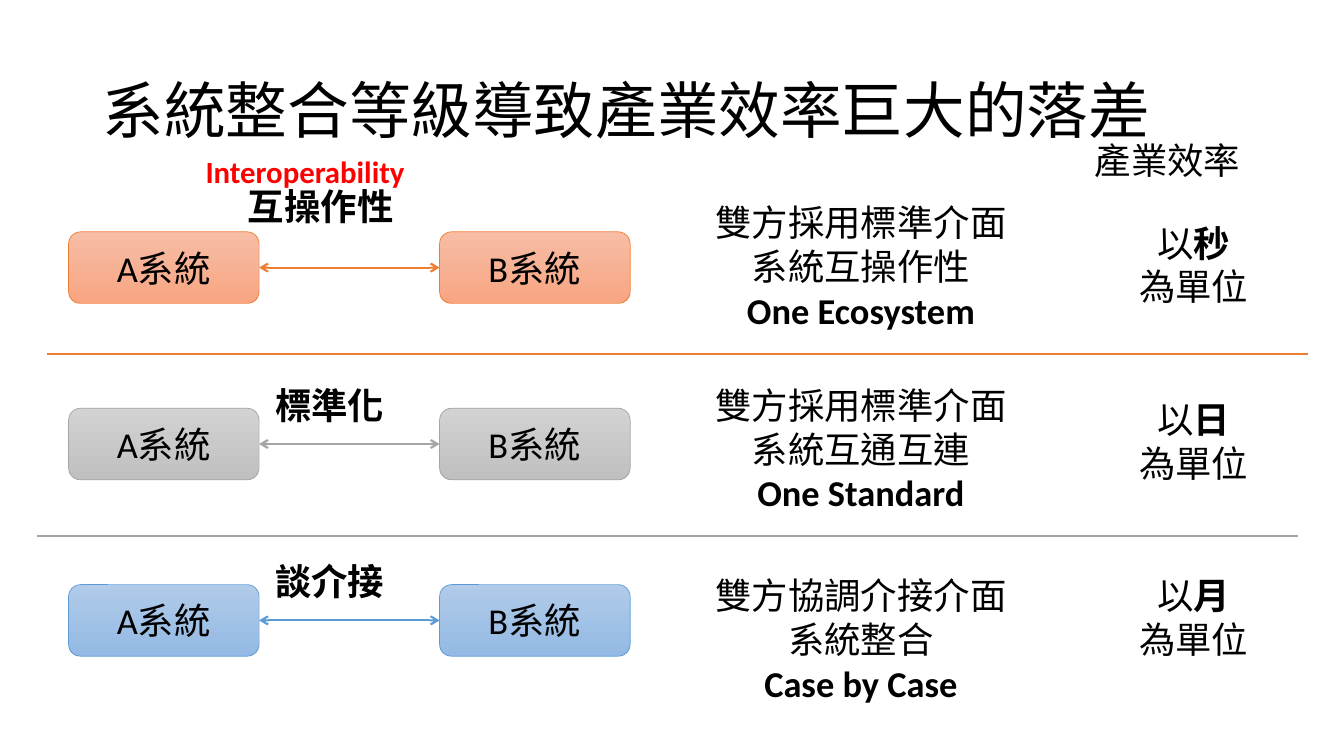
from lxml import etree
from pptx import Presentation
from pptx.dml.color import RGBColor
from pptx.enum.lang import MSO_LANGUAGE_ID
from pptx.enum.shapes import MSO_CONNECTOR, MSO_SHAPE
from pptx.enum.text import MSO_ANCHOR, MSO_AUTO_SIZE, PP_ALIGN
from pptx.oxml.ns import qn
from pptx.util import Pt

PX = 9144
STRAIGHT = MSO_CONNECTOR.STRAIGHT
ROUNDED = MSO_SHAPE.ROUNDED_RECTANGLE
LEFT, CENTER = PP_ALIGN.LEFT, PP_ALIGN.CENTER
TOP, MIDDLE = MSO_ANCHOR.TOP, MSO_ANCHOR.MIDDLE
GROW = MSO_AUTO_SIZE.SHAPE_TO_FIT_TEXT
CHINESE = MSO_LANGUAGE_ID.TRADITIONAL_CHINESE
LEFT_SIDE, RIGHT_SIDE = 1, 3

FONT = "Calibri"
COLORS = {
    "text": "000000", "accent": "FF0000",
    "orange": "ED7D31", "orange_top": "F7BDA5", "orange_bottom": "F8A582",
    "gray": "A5A5A5", "gray_top": "D2D2D2", "gray_bottom": "C0C0C0",
    "blue": "5B9BD5", "blue_top": "B1CBE9", "blue_bottom": "93B9E4",
}

ROW_TOP, ROW_PITCH = 230, 175
ROW_LEFT, ROW_WIDTH, ROW_HEIGHT = 68, 1181, 71
LEVELS = [
    {"color": "orange", "caption": "互操作性", "caption_box": (168, -52, 166),
     "details": ["雙方採用標準介面", "系統互操作性", "One Ecosystem"],
     "details_top": -36, "unit": "秒"},
    {"color": "gray", "caption": "標準化", "caption_box": (195, -30, 130),
     "details": ["雙方採用標準介面", "系統互通互連", "One Standard"],
     "details_top": -30, "unit": "日"},
    {"color": "blue", "caption": "談介接", "caption_box": (195, -30, 130),
     "details": ["雙方協調介接介面", "系統整合", "Case by Case"],
     "details_top": -16, "unit": "月"},
]
SEPARATORS = [("orange", 47, 351), ("gray", 37, 532)]
SEPARATOR_WIDTH = 1250


def rgb(name):
    """Return the named colour."""
    return RGBColor.from_string(COLORS[name])


def emu(*lengths):
    """Turn px lengths into EMU."""
    return [length * PX for length in lengths]


def write_text(frame, paragraphs, size=26, color="text", align=LEFT,
               anchor=TOP, spacing=None):
    """Fill a text frame with paragraphs of (text, bold) runs."""
    frame.vertical_anchor = anchor
    for index, runs in enumerate(paragraphs):
        paragraph = frame.add_paragraph() if index else frame.paragraphs[0]
        paragraph.alignment = align
        paragraph.line_spacing = spacing
        for text, bold in runs:
            if text == "\n":
                paragraph.add_line_break()
                continue
            run = paragraph.add_run()
            run.text = text
            run.font.name = FONT
            run.font.size = Pt(size)
            run.font.bold = bold
            run.font.color.rgb = rgb(color)
            run.font.language_id = CHINESE


def add_label(slide, box, paragraphs, wrap=False, **style):
    """Add a text box at the given box."""
    frame = slide.shapes.add_textbox(*emu(*box)).text_frame
    frame.word_wrap = wrap
    if not wrap:
        frame.auto_size = GROW
    write_text(frame, paragraphs, **style)


def add_line(slide, start, end, color, arrows=False):
    """Add a straight line, with open arrowheads at both ends if asked."""
    line = slide.shapes.add_connector(STRAIGHT, *emu(*start, *end))
    line.line.color.rgb = rgb(color)
    line.line.width = Pt(1.5)
    properties = line.line._get_or_add_ln()
    if arrows:
        for end_tag in ("a:headEnd", "a:tailEnd"):
            etree.SubElement(properties, qn(end_tag), type="arrow")
    etree.SubElement(properties.getparent(), qn("a:effectLst"))
    return line


def add_system(slide, box, name, color):
    """Add one rounded system box with a vertical gradient."""
    system = slide.shapes.add_shape(ROUNDED, *emu(*box))
    system.shadow.inherit = False
    system.fill.gradient()
    system.fill.gradient_angle = 270
    for stop, end in zip(system.fill.gradient_stops, ("top", "bottom")):
        stop.color.rgb = rgb(f"{color}_{end}")
        stop.position = 0 if end == "top" else 1
    system.line.color.rgb = rgb(color)
    system.line.width = Pt(0.5)
    write_text(system.text_frame, [[(name, False)]], align=CENTER, anchor=MIDDLE)
    return system


def add_level(slide, box, level):
    """Add one integration level: linked systems, details and time unit."""
    left, top, width, height = box
    color = level["color"]
    system_width, system_pitch = 189, 368
    system_a, system_b = [
        add_system(slide, (left + column * system_pitch, top, system_width, height),
                   f"{letter}系統", color)
        for column, letter in enumerate("AB")]
    middle = top + height // 2
    link = add_line(slide, (left + system_width, middle),
                    (left + system_pitch, middle), color, arrows=True)
    link.begin_connect(system_a, RIGHT_SIDE)
    link.end_connect(system_b, LEFT_SIDE)

    caption_left, caption_top, caption_width = level["caption_box"]
    add_label(slide, (left + caption_left, top + caption_top, caption_width, 54),
              [[(level["caption"], True)]])
    *descriptions, motto = level["details"]
    add_label(slide, (left + 630, top + level["details_top"], 312, 141),
              [[(text, False)] for text in descriptions] + [[(motto, True)]],
              align=CENTER)
    unit_width = 130
    add_label(slide, (left + width - unit_width, top - 16, unit_width, 98),
              [[("以", False), (level["unit"], True), ("\n", False),
                ("為單位", False)]], align=CENTER)


def add_headings(slide, box):
    """Add the title, the efficiency heading and the red English term."""
    left, top, width, height = box
    add_label(slide, box, [[("系統整合等級導致產業效率巨大的落差", False)]],
              wrap=True, size=44, anchor=MIDDLE, spacing=0.9)
    add_label(slide, (left + 984, top + 92, 166, 54), [[("產業效率", False)]])
    add_label(slide, (left + 102, top + 107, 220, 47),
              [[("Interoperability", True)]], size=22, color="accent")


def main():
    """Build the slide and save it."""
    deck = Presentation()
    deck.slide_width, deck.slide_height = emu(1333, 750)
    slide = deck.slides.add_slide(deck.slide_layouts[6])
    add_headings(slide, (92, 40, 1150, 145))
    for color, left, top in SEPARATORS:
        add_line(slide, (left, top), (left + SEPARATOR_WIDTH, top), color)
    for row, level in enumerate(LEVELS):
        add_level(slide, (ROW_LEFT, ROW_TOP + row * ROW_PITCH, ROW_WIDTH, ROW_HEIGHT),
                  level)
    deck.save("out.pptx")


if __name__ == "__main__":
    main()
